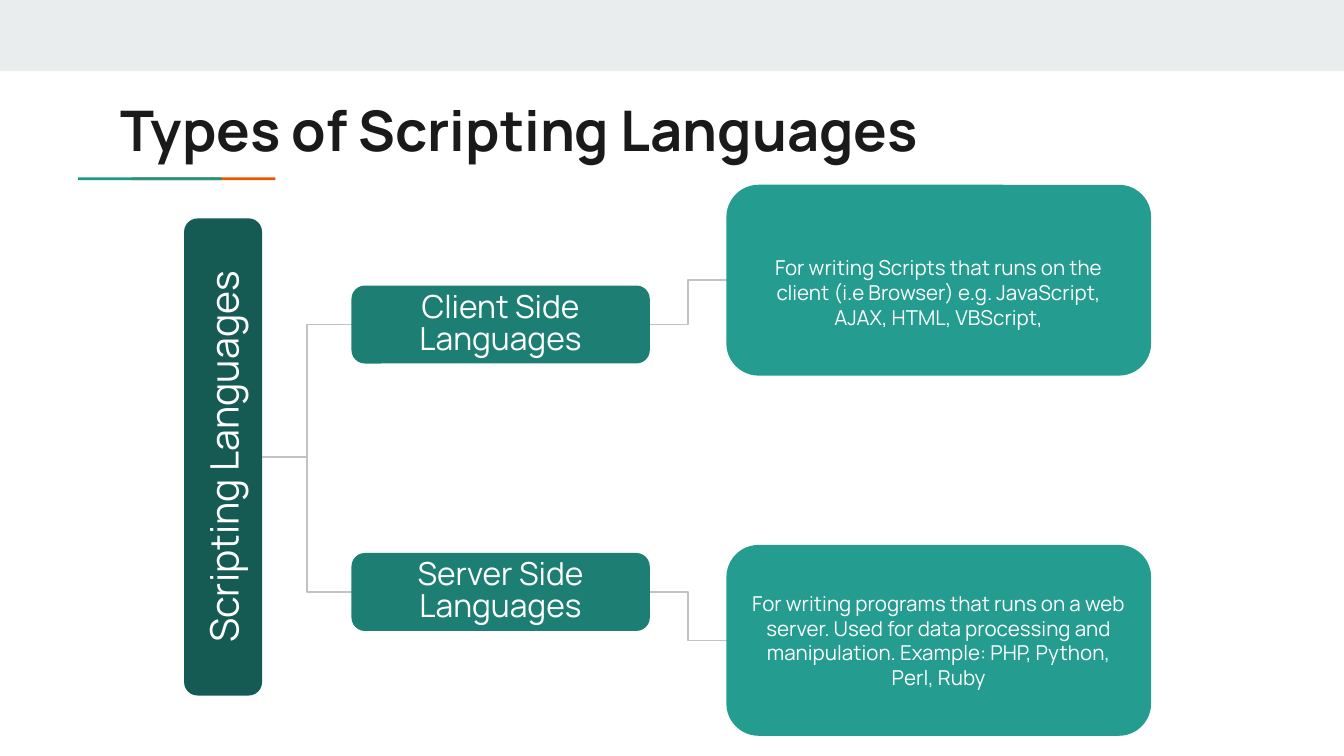
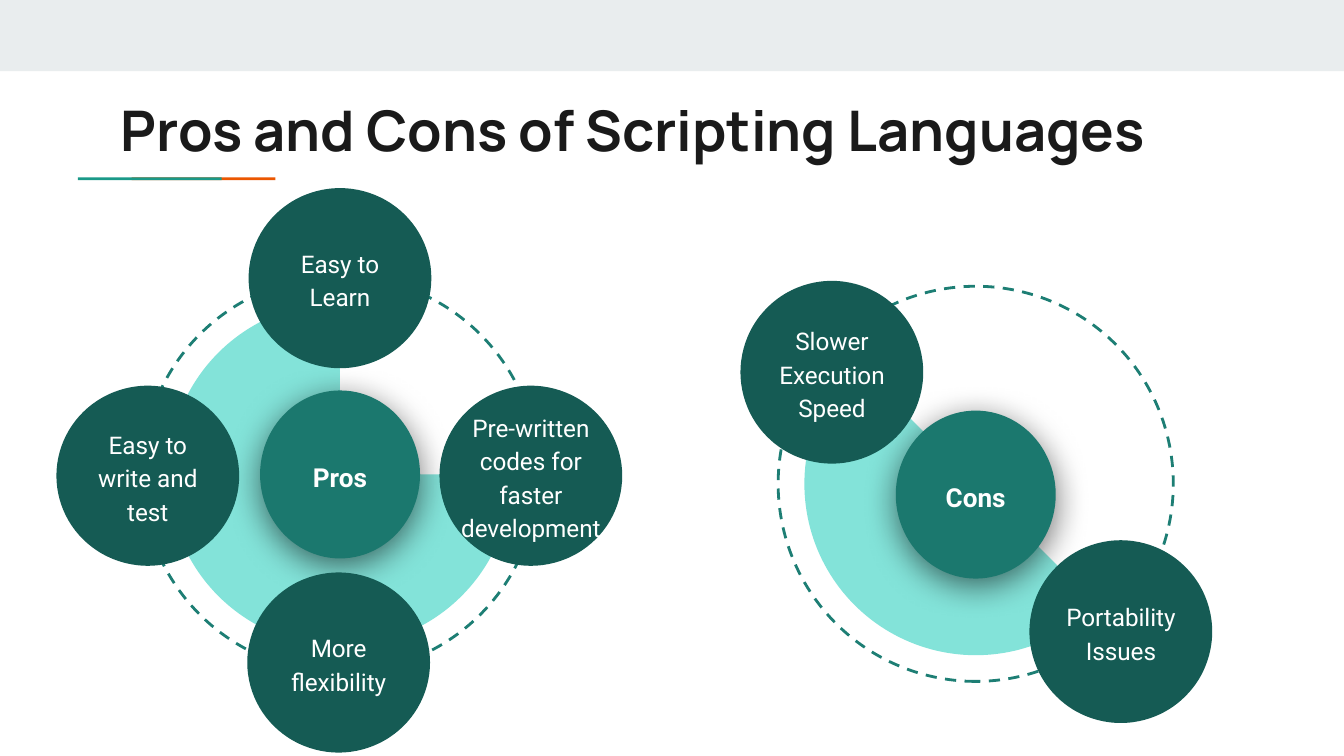
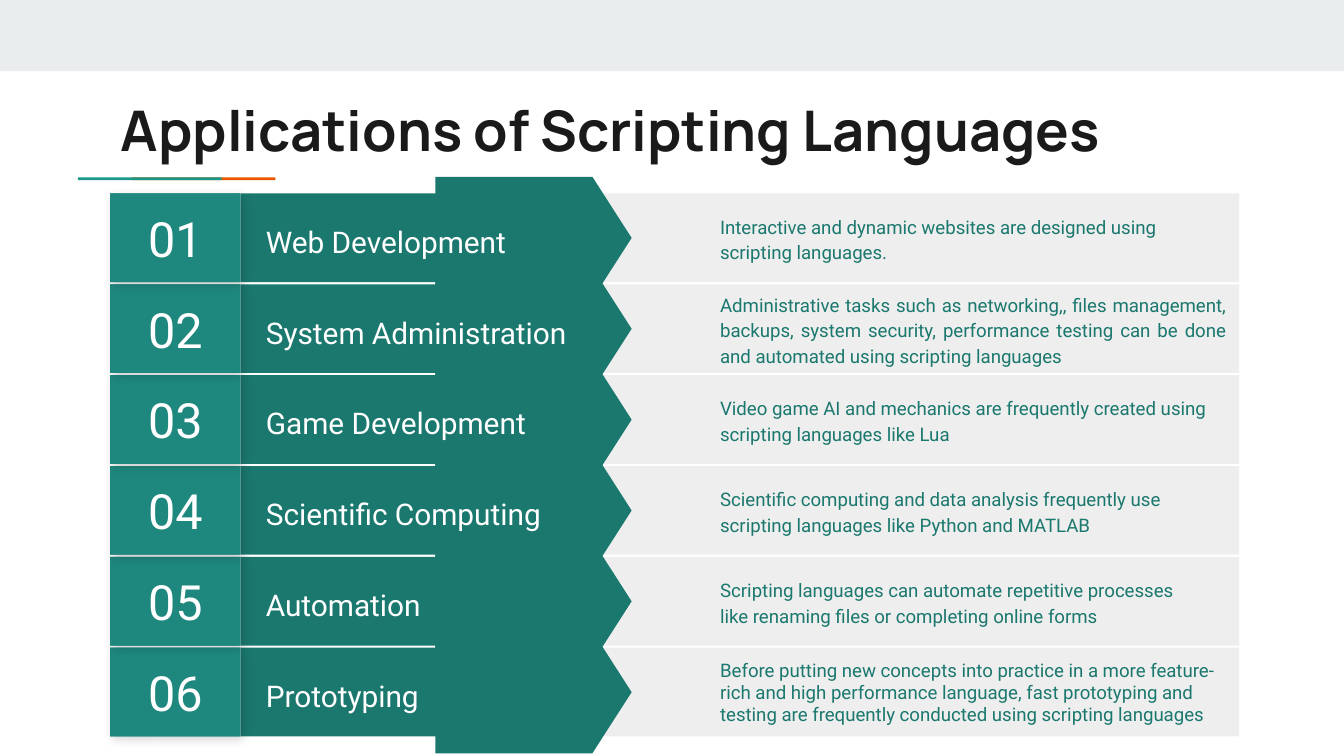
from dataclasses import dataclass
from typing import NamedTuple, Optional

from lxml import etree
from pptx import Presentation
from pptx.dml.color import RGBColor
from pptx.enum.dml import MSO_LINE
from pptx.enum.shapes import MSO_CONNECTOR, MSO_SHAPE
from pptx.enum.text import MSO_ANCHOR, PP_ALIGN
from pptx.oxml.ns import qn
from pptx.util import Inches, Pt


# Theme and record types
@dataclass(frozen=True)
class Theme:
    heading_font: str = "Manrope"
    body_font: str = "Roboto"
    band: str = "E9EDEE"
    orange: str = "EB5600"
    teal: str = "1A9988"
    ink: str = "1A1A1A"
    white: str = "FFFFFF"
    darkest: str = "155B54"
    dark: str = "1B786E"
    branch: str = "1D7E74"
    tile: str = "1F887E"
    card: str = "249C90"
    pale: str = "83E3D9"
    gray: str = "EEEEEE"
    connector: str = "C2C2C2"
    title_size: float = 30
    number_size: float = 26
    root_size: float = 21
    branch_size: float = 17
    application_size: float = 16
    hub_size: float = 14
    petal_size: float = 13
    small_size: float = 10
    card_size: float = 11


THEME = Theme()


class Box(NamedTuple):
    left: float
    top: float
    width: float
    height: float

    def lengths(self) -> tuple:
        return tuple(Inches(value) for value in self)


def centered(x: float, y: float, width: float, height: float) -> Box:
    return Box(x - width / 2, y - height / 2, width, height)


class Style(NamedTuple):
    size: float
    color: str = THEME.white
    font: str = THEME.body_font
    bold: bool = False
    align: PP_ALIGN = PP_ALIGN.CENTER
    anchor: MSO_ANCHOR = MSO_ANCHOR.MIDDLE
    spacing: Optional[float] = None
    indent: float = 0
    top_inset: float = 0.1


class Shadow(NamedTuple):
    opacity: int
    blur: float
    distance: float
    angle: int


class Branch(NamedTuple):
    name: str
    name_top: float
    detail: str
    detail_top: float
    detail_inset: float


class Petal(NamedTuple):
    text: str
    x: float
    y: float
    label_width: float


class Wheel(NamedTuple):
    name: str
    x: float
    y: float
    hub_y: float
    ring: float
    pie: float
    start_angle: int
    end_angle: int
    petal_height: float
    petals: tuple


class Application(NamedTuple):
    name: str
    detail: str
    width: float = 4.46
    align: PP_ALIGN = PP_ALIGN.LEFT
    spacing: float = 1.15


# Drawing helpers
def write(shape, text: str, style: Style) -> None:
    frame = shape.text_frame
    frame.word_wrap = True
    frame.vertical_anchor = style.anchor
    frame.margin_left = frame.margin_right = frame.margin_bottom = Inches(0.1)
    frame.margin_top = Inches(style.top_inset)
    frame.text = text
    paragraph = frame.paragraphs[0]
    paragraph.alignment = style.align
    if style.spacing:
        paragraph.line_spacing = style.spacing
    if style.indent:
        properties = paragraph._p.get_or_add_pPr()
        properties.set("marL", str(Inches(style.indent)))
        properties.set("indent", "0")
    font = paragraph.runs[0].font
    font.name, font.size, font.bold = style.font, Pt(style.size), style.bold
    font.color.rgb = RGBColor.from_string(style.color)


def add_text(slide, box: Box, text: str, style: Style) -> None:
    write(slide.shapes.add_textbox(*box.lengths()), text, style)


def add_block(slide, kind: MSO_SHAPE, box: Box, fill: Optional[str],
              line: Optional[str] = None, line_width: float = 0.75):
    shape = slide.shapes.add_shape(kind, *box.lengths())
    shape.shadow.inherit = False
    if fill:
        shape.fill.solid()
        shape.fill.fore_color.rgb = RGBColor.from_string(fill)
    else:
        shape.fill.background()
    if line:
        shape.line.color.rgb = RGBColor.from_string(line)
        shape.line.width = Pt(line_width)
    else:
        shape.line.fill.background()
    return shape


def add_shadow(shape, shadow: Shadow) -> None:
    effects = shape._element.spPr.find(qn("a:effectLst"))
    outer = etree.SubElement(
        effects, qn("a:outerShdw"), blurRad=str(Pt(shadow.blur)),
        dist=str(Pt(shadow.distance)), dir=str(shadow.angle * 60000),
        algn="bl", rotWithShape="0")
    color = etree.SubElement(outer, qn("a:srgbClr"), val="000000")
    etree.SubElement(color, qn("a:alpha"), val=str(shadow.opacity * 1000))


def add_elbow(slide, begin: tuple, end: tuple) -> None:
    points = [Inches(value) for value in begin + end]
    connector = slide.shapes.add_connector(MSO_CONNECTOR.ELBOW, *points)
    connector.line.color.rgb = RGBColor.from_string(THEME.connector)
    connector.line.width = Pt(0.75)
    etree.SubElement(connector._element.spPr, qn("a:effectLst"))


def add_titled_slide(presentation, title: str):
    slide = presentation.slides.add_slide(presentation.slide_layouts[6])
    for box, color in (
        (Box(0, 0, 10, 0.53), THEME.band),
        (Box(0.98, 1.32, 1.07, 0.02), THEME.orange),
        (Box(0.58, 1.32, 1.07, 0.02), THEME.teal),
    ):
        add_block(slide, MSO_SHAPE.RECTANGLE, box, color)
    add_text(slide, Box(0.8, 0.61, 8.41, 0.59), title,
             Style(THEME.title_size, THEME.ink, THEME.heading_font, True,
                   PP_ALIGN.LEFT, MSO_ANCHOR.TOP))
    return slide


# Slide 1: tree of language types
BRANCHES = (
    Branch("Client Side Languages", 2.13,
           "For writing Scripts that runs on the client (i.e Browser) e.g. "
           "JavaScript, AJAX, HTML, VBScript,", 1.38, 0.28),
    Branch("Server Side Languages", 4.12,
           "For writing programs that runs on a web server. Used for data "
           "processing and manipulation. Example: PHP, Python, Perl, Ruby",
           4.06, 0.1),
)


def add_node(slide, box: Box, color: str, text: str, style: Style):
    node = add_block(slide, MSO_SHAPE.ROUNDED_RECTANGLE, box, color, color)
    write(node, text, style)
    return node


def build_types(presentation) -> None:
    slide = add_titled_slide(presentation, "Types of Scripting Languages")
    heading = THEME.heading_font
    root_x, root_y = 1.66, 3.4
    root = add_node(slide, centered(root_x, root_y, 3.54, 0.57),
                    THEME.darkest, "Scripting Languages",
                    Style(THEME.root_size, font=heading))
    root.rotation = 270
    for branch in BRANCHES:
        name_box = Box(2.62, branch.name_top, 2.21, 0.57)
        detail_box = Box(5.41, branch.detail_top, 3.15, 1.41)
        name_y = name_box.top + name_box.height / 2
        detail_y = detail_box.top + detail_box.height / 2
        add_elbow(slide, (1.95, root_y), (name_box.left, name_y))
        add_elbow(slide, (name_box.left + name_box.width, name_y),
                  (detail_box.left, detail_y))
        add_node(slide, name_box, THEME.branch, branch.name,
                 Style(THEME.branch_size, font=heading, spacing=0.85))
        add_node(slide, detail_box, THEME.card, branch.detail,
                 Style(THEME.card_size, font=heading,
                       top_inset=branch.detail_inset))


# Slide 2: wheels of pros and cons
HUB_SHADOW = Shadow(55, 18, 4, 90)
WHEELS = (
    Wheel("Cons", 7.26, 3.6, 3.68, 2.94, 2.55, 45, 225, 1.36, (
        Petal("Slower Execution Speed", 6.19, 2.77, 1.19),
        Petal("Portability Issues", 8.34, 4.7, 1.19),
    )),
    Wheel("Pros", 2.53, 3.53, 3.53, 2.95, 2.56, 0, 270, 1.34, (
        Petal("Easy to Learn", 2.53, 2.07, 0.97),
        Petal("More flexibility", 2.52, 4.93, 0.97),
        Petal("Easy to write and test", 1.1, 3.54, 0.97),
        Petal("Pre-written codes for faster development", 3.95, 3.54, 1.36),
    )),
)


def add_wheel(slide, wheel: Wheel) -> None:
    ring = add_block(slide, MSO_SHAPE.OVAL,
                     centered(wheel.x, wheel.y, wheel.ring, wheel.ring),
                     None, THEME.branch, 1.5)
    ring.rotation = 270
    ring.line.dash_style = MSO_LINE.DASH
    pie = add_block(slide, MSO_SHAPE.PIE,
                    centered(wheel.x, wheel.y, wheel.pie, wheel.pie),
                    THEME.pale)
    # One degree is 60000 units; adjustments count in 100000
    pie.adjustments[0] = wheel.start_angle * 0.6
    pie.adjustments[1] = wheel.end_angle * 0.6
    hub_box = centered(wheel.x, wheel.hub_y, 1.19, 1.25)
    hub = add_block(slide, MSO_SHAPE.OVAL, hub_box, THEME.dark)
    add_shadow(hub, HUB_SHADOW)
    add_text(slide, centered(wheel.x, wheel.hub_y, 1.19, 0.73), wheel.name,
             Style(THEME.hub_size, bold=True, spacing=1.15))
    for petal in wheel.petals:
        add_block(slide, MSO_SHAPE.OVAL,
                  centered(petal.x, petal.y, 1.36, wheel.petal_height),
                  THEME.darkest)
        add_text(slide, centered(petal.x, petal.y, petal.label_width, 0.95),
                 petal.text, Style(THEME.petal_size, spacing=1.15))


def build_pros_and_cons(presentation) -> None:
    slide = add_titled_slide(presentation,
                             "Pros and Cons of Scripting Languages")
    for wheel in WHEELS:
        add_wheel(slide, wheel)


# Slide 3: numbered applications
TILE_SHADOW = Shadow(17, 5.6, 2.2, 45)
FIRST_ROW, LAST_ROW, ROW_HEIGHT = 1.44, 4.82, 0.66
APPLICATIONS = (
    Application("Web Development",
                "Interactive and dynamic websites are designed using "
                "scripting languages."),
    Application("System Administration",
                "Administrative tasks such as networking,, files management, "
                "backups, system security, performance testing can be done "
                "and automated using scripting languages",
                align=PP_ALIGN.JUSTIFY),
    Application("Game Development",
                "Video game AI and mechanics are frequently created using "
                "scripting languages like Lua"),
    Application("Scientific Computing",
                "Scientific computing and data analysis frequently use "
                "scripting languages like Python and MATLAB", 4.19),
    Application("Automation",
                "Scripting languages can automate repetitive processes like "
                "renaming files or completing online forms", 4.19),
    Application("Prototyping",
                "Before putting new concepts into practice in a more "
                "feature-rich and high performance language, fast "
                "prototyping and testing are frequently conducted using "
                "scripting languages", spacing=1.0),
)


def add_application(slide, number: int, application: Application) -> None:
    pitch = (LAST_ROW - FIRST_ROW) / (len(APPLICATIONS) - 1)
    top = FIRST_ROW + (number - 1) * pitch
    middle = top + ROW_HEIGHT / 2
    add_block(slide, MSO_SHAPE.RECTANGLE,
              Box(3.83, top, 5.39, ROW_HEIGHT), THEME.gray)
    add_block(slide, MSO_SHAPE.RECTANGLE,
              Box(1.79, top, 2.6, ROW_HEIGHT), THEME.dark)
    arrow = add_block(slide, MSO_SHAPE.FLOWCHART_OFFPAGE_CONNECTOR,
                      centered(3.97, middle, 0.91, 1.46), THEME.dark)
    arrow.rotation = 270
    add_text(slide, Box(1.88, top + 0.08, 2.74, 0.51), application.name,
             Style(THEME.application_size, align=PP_ALIGN.LEFT, spacing=1.15))
    tile_box = Box(0.82, top, 0.97, ROW_HEIGHT)
    tile_base = add_block(slide, MSO_SHAPE.RECTANGLE, tile_box, THEME.branch)
    add_shadow(tile_base, TILE_SHADOW)
    tile = add_block(slide, MSO_SHAPE.RECTANGLE, tile_box, THEME.tile)
    write(tile, f"{number:02}", Style(THEME.number_size))
    add_text(slide, Box(4.76, top, application.width, ROW_HEIGHT),
             application.detail,
             Style(THEME.small_size, THEME.dark, align=application.align,
                   spacing=application.spacing, indent=0.5))


def build_applications(presentation) -> None:
    slide = add_titled_slide(presentation,
                             "Applications of Scripting Languages")
    # Upper rows lie over lower ones
    for number, application in reversed(list(enumerate(APPLICATIONS, 1))):
        add_application(slide, number, application)


def main() -> None:
    presentation = Presentation()
    # Widescreen, 16 to 9
    presentation.slide_width = Inches(10)
    presentation.slide_height = Inches(10 * 9 / 16)
    build_types(presentation)
    build_pros_and_cons(presentation)
    build_applications(presentation)
    presentation.save("out.pptx")


if __name__ == "__main__":
    main()
